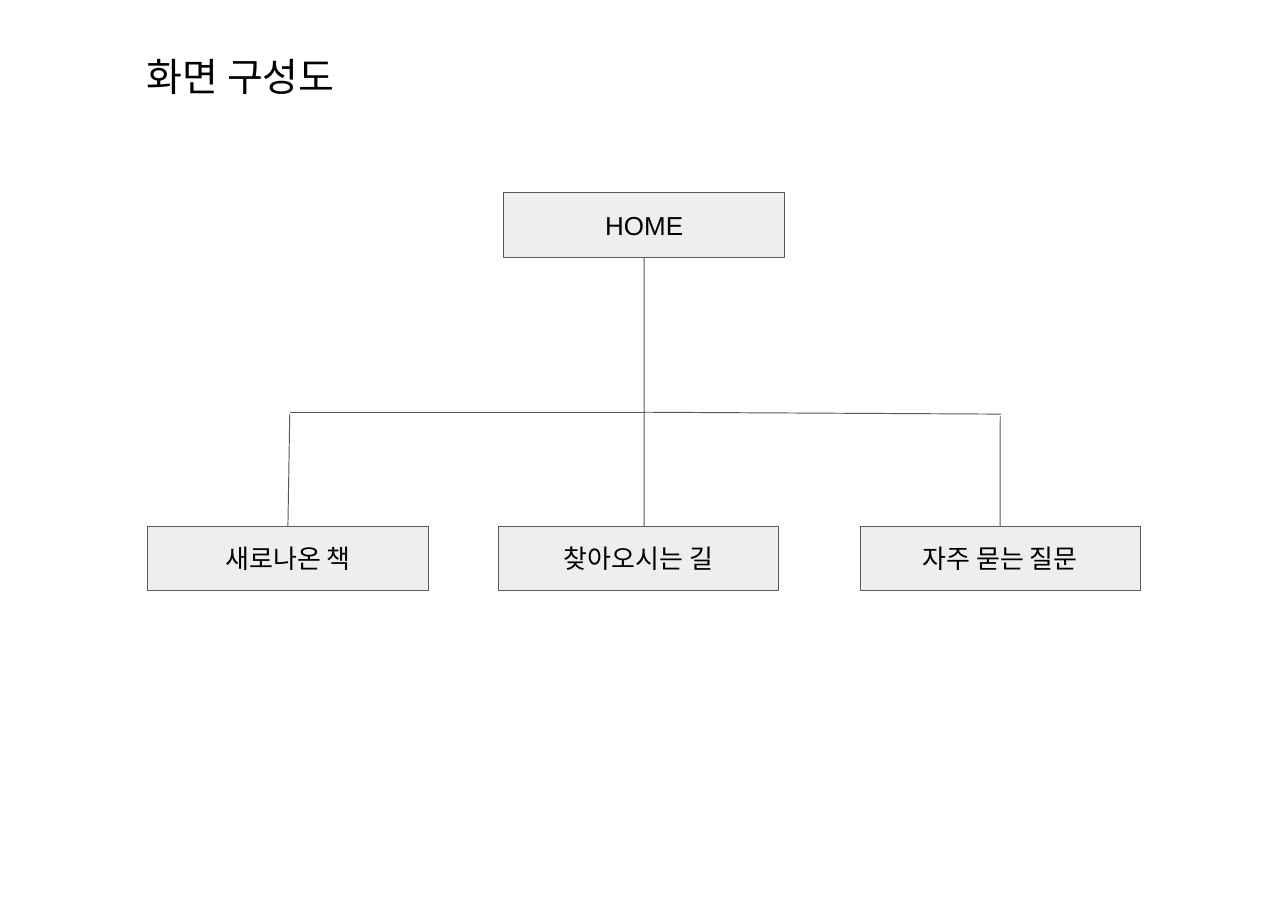
from collections import namedtuple

from lxml import etree
from pptx import Presentation
from pptx.dml.color import RGBColor
from pptx.enum.shapes import MSO_CONNECTOR, MSO_SHAPE
from pptx.enum.text import MSO_ANCHOR, MSO_AUTO_SIZE, PP_ALIGN
from pptx.oxml.ns import qn
from pptx.util import Inches, Pt

RECTANGLE = MSO_SHAPE.RECTANGLE
STRAIGHT = MSO_CONNECTOR.STRAIGHT
TOP, MIDDLE = MSO_ANCHOR.TOP, MSO_ANCHOR.MIDDLE
LEFT, CENTER = PP_ALIGN.LEFT, PP_ALIGN.CENTER
NO_AUTOFIT = MSO_AUTO_SIZE.NONE

TOP_SIDE, BOTTOM_SIDE = 0, 2
COLORS = {"node": "EEEEEE", "line": "595959", "text": "000000"}
FONT = "Arial"
TITLE_ONLY = 5
NODE_WIDTH, NODE_HEIGHT = 28.25, 16.2
CHILD_TOP = 100 - NODE_HEIGHT
TRUNK, BUS = 50, 55.16
CHILDREN = [("새로나온 책", 0), ("찾아오시는 길", 35.31), ("자주 묻는 질문", 71.75)]

Box = namedtuple("Box", "left top width height")


def color(name):
    return RGBColor.from_string(COLORS[name])


def point(box, across, down):
    return (round(box.left + box.width * across / 100),
            round(box.top + box.height * down / 100))


def part(box, across, down, width, height):
    return Box(*point(box, across, down),
               round(box.width * width / 100), round(box.height * height / 100))


def write(shape, text, size, align, anchor):
    frame = shape.text_frame
    frame.text = text
    frame.word_wrap = True
    frame.auto_size = NO_AUTOFIT
    frame.vertical_anchor = anchor
    frame.margin_left = frame.margin_right = 0
    frame.margin_top = frame.margin_bottom = 0
    para = frame.paragraphs[0]
    para.alignment = align
    para.font.name = FONT
    para.font.size = Pt(size)
    para.font.color.rgb = color("text")


def outline(shape):
    shape.line.color.rgb = color("line")
    shape.line.width = Pt(0.75)


def add_title(page, box):
    title = page.shapes.title
    title.left, title.top, title.width, title.height = box
    write(title, "화면 구성도", 30, LEFT, TOP)


def add_node(page, box, text):
    node = page.shapes.add_shape(RECTANGLE, *box)
    node.shadow.inherit = False
    node.fill.solid()
    node.fill.fore_color.rgb = color("node")
    outline(node)
    write(node, text, 20, CENTER, MIDDLE)
    return node


def add_line(page, start, end):
    line = page.shapes.add_connector(STRAIGHT, *start, *end)
    outline(line)
    etree.SubElement(line._element.spPr, qn("a:effectLst"))
    return line


def add_site_map(page, box):
    home = add_node(page, part(box, 35.88, 0, NODE_WIDTH, NODE_HEIGHT), "HOME")
    new_books, _, questions = [
        add_node(page, part(box, across, CHILD_TOP, NODE_WIDTH, NODE_HEIGHT), text)
        for text, across in CHILDREN]

    trunk = add_line(page, point(box, TRUNK, NODE_HEIGHT), point(box, TRUNK, CHILD_TOP))
    trunk.begin_connect(home, BOTTOM_SIDE)

    branches = [(new_books, (14.31, BUS), (14.31, 55.63)),
                (questions, (85.97, 55.63), (85.88, 56.1))]
    for child, corner, drop_start in branches:
        add_line(page, point(box, TRUNK, BUS), point(box, *corner))
        start = point(box, *drop_start)
        drop = add_line(page, start, (start[0], child.top))
        drop.end_connect(child, TOP_SIDE)


def main():
    deck = Presentation()
    deck.slide_width, deck.slide_height = Inches(13.78), Inches(9.84)
    page = deck.slides.add_slide(deck.slide_layouts[TITLE_ONLY])
    whole = Box(0, 0, deck.slide_width, deck.slide_height)
    add_title(page, part(whole, 11.39, 5.69, 29, 6))
    add_site_map(page, part(whole, 11.47, 20.93, 77.07, 43.29))
    deck.save("out.pptx")


if __name__ == "__main__":
    main()
